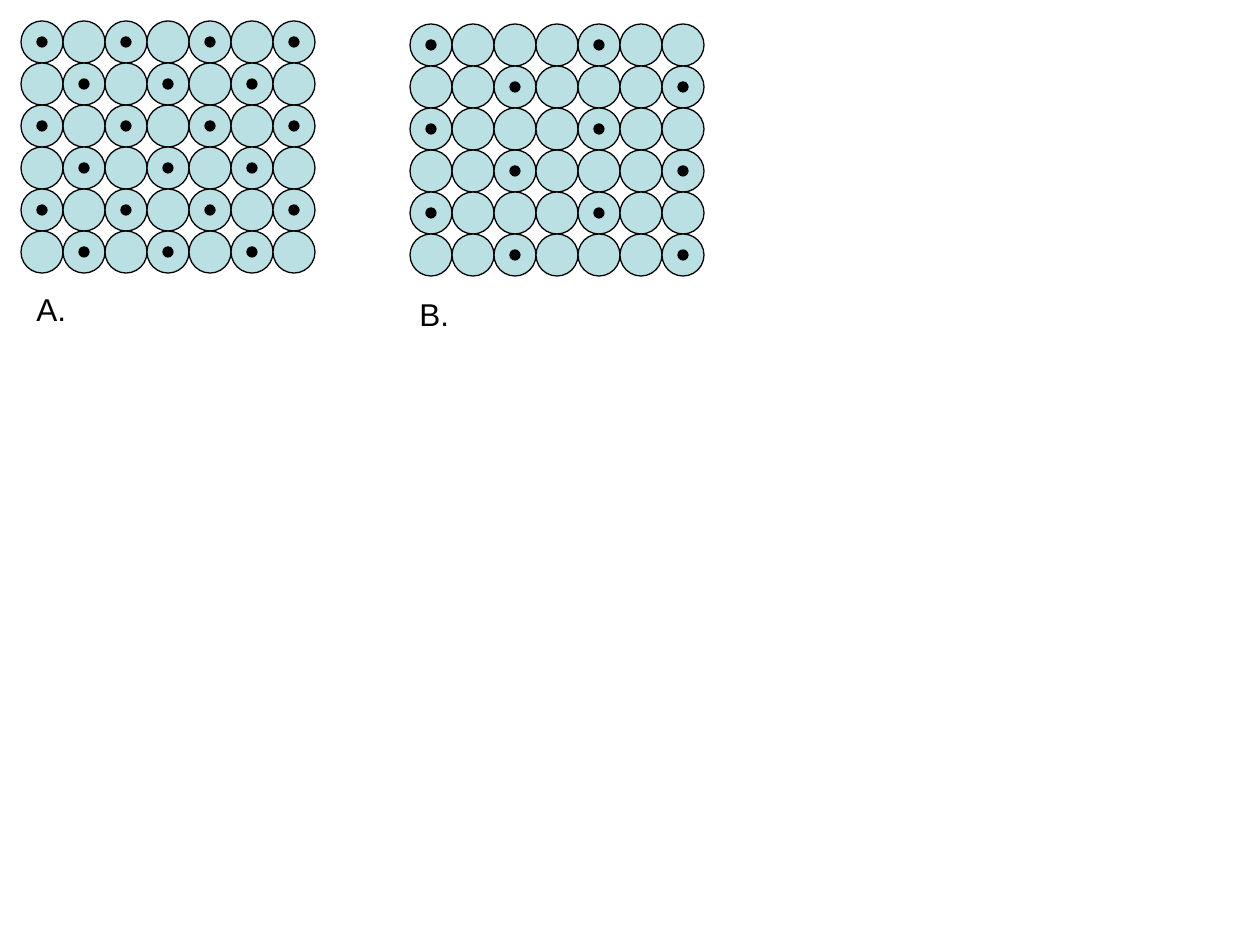
from itertools import product

from pptx import Presentation
from pptx.dml.color import RGBColor
from pptx.enum.shapes import MSO_SHAPE as Shape
from pptx.enum.text import MSO_AUTO_SIZE as AutoSize
from pptx.util import Inches, Pt

EMU_PER_PX = Inches(1) / 126
COLORS = {"cell": "BBE0E3", "ink": "000000"}
ROWS, COLUMNS = 6, 7
CELL, DOT = 42, 10
LABEL_WIDTH, LABEL_HEIGHT = 55, 48


def px(length):
    return round(length * EMU_PER_PX)


def color(name):
    return RGBColor.from_string(COLORS[name])


def add_circle(group, left, top, size, fill):
    circle = group.shapes.add_shape(
        Shape.OVAL, px(left), px(top), px(size), px(size))
    circle.shadow.inherit = False
    circle.fill.solid()
    circle.fill.fore_color.rgb = color(fill)
    circle.line.color.rgb = color("ink")
    circle.line.width = Pt(0.75)


def add_label(group, left, top, text):
    label = group.shapes.add_textbox(
        px(left), px(top), px(LABEL_WIDTH), px(LABEL_HEIGHT))
    frame = label.text_frame
    frame.word_wrap = False
    frame.auto_size = AutoSize.SHAPE_TO_FIT_TEXT
    paragraph = frame.paragraphs[0]
    paragraph.text = text
    paragraph.font.name = "Arial"
    paragraph.font.size = Pt(18)
    paragraph.font.color.rgb = color("ink")


def add_lattice(slide, left, top, row_shift, label, label_offset):
    group = slide.shapes.add_group_shape()
    cells = list(product(range(ROWS), range(COLUMNS)))
    for row, column in cells:
        add_circle(group, left + column * CELL, top + row * CELL, CELL, "cell")
    inset = (CELL - DOT) // 2
    for row, column in cells:
        if (column + row_shift * row) % (2 * row_shift) == 0:
            add_circle(group, left + column * CELL + inset,
                       top + row * CELL + inset, DOT, "ink")
    add_label(group, left + label_offset[0], top + label_offset[1], label)


def main():
    presentation = Presentation()
    presentation.slide_width = Inches(10)
    presentation.slide_height = Inches(7.5)
    slide = presentation.slides.add_slide(presentation.slide_layouts[6])
    add_lattice(slide, 21, 21, 1, "A.", (3, 263))
    add_lattice(slide, 410, 24, 2, "B.", (-3, 265))
    presentation.save("out.pptx")


if __name__ == "__main__":
    main()
